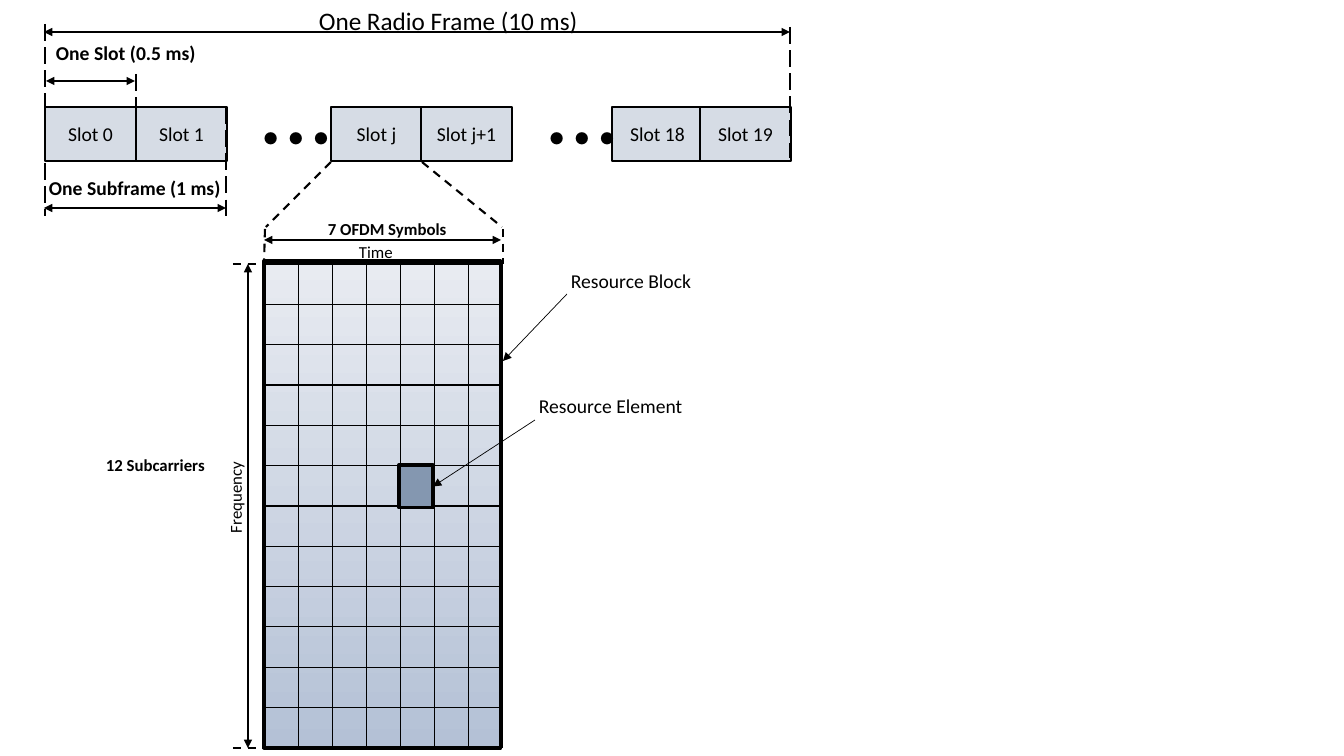
from pptx import Presentation
from pptx.dml.color import RGBColor
from pptx.enum.dml import MSO_LINE
from pptx.enum.shapes import MSO_CONNECTOR, MSO_SHAPE
from pptx.enum.text import MSO_ANCHOR, MSO_AUTO_SIZE, PP_ALIGN
from pptx.oxml import parse_xml
from pptx.oxml.ns import nsdecls
from pptx.util import Pt
from lxml.etree import SubElement

EMU_PER_PX = 914400 / 100.8
BLACK, SLOT_FILL, ELEMENT_FILL = "000000", "D6DCE5", "8497B0"
LONG, DASH = MSO_LINE.LONG_DASH, MSO_LINE.DASH
A = "{http://schemas.openxmlformats.org/drawingml/2006/main}"
color = RGBColor.from_string


def px(*lengths):
    return [round(length * EMU_PER_PX) for length in lengths]


def add_line(x1, y1, x2, y2, width, dash=None, arrows=()):
    line = slide.shapes.add_connector(MSO_CONNECTOR.STRAIGHT, *px(x1, y1, x2, y2))
    line.line.color.rgb = color(BLACK)
    line.line.width = Pt(width)
    if dash:
        line.line.dash_style = dash
    for end in arrows:
        SubElement(line.line._get_or_add_ln(), A + end, type="triangle")
    SubElement(line._element.spPr, A + "effectLst")
    return line


prs = Presentation()
prs.slide_width, prs.slide_height = px(1344, 756)
slide = prs.slides.add_slide(prs.slide_layouts[6])
BOTH, END = ("headEnd", "tailEnd"), ("tailEnd",)

# Resource block background
block = slide.shapes.add_shape(MSO_SHAPE.RECTANGLE, *px(264, 261, 237, 487))
block.shadow.inherit = False
block.fill.gradient()
block.fill.gradient_angle = 90
for stop, shade in zip(block.fill.gradient_stops, ("B4C1D6", "E8EBF1")):
    stop.color.rgb = color(shade)
block.line.color.rgb = color(BLACK)
block.line.width = Pt(2.25)

# Slots of the radio frame
for name, left in (("0", 45), ("1", 136), ("j", 331), ("j+1", 421), ("18", 612), ("19", 700)):
    slot = slide.shapes.add_shape(MSO_SHAPE.RECTANGLE, *px(left, 107, 91, 54))
    slot.shadow.inherit = False
    slot.fill.solid()
    slot.fill.fore_color.rgb = color(SLOT_FILL)
    slot.line.color.rgb = color(BLACK)
    slot.line.width = Pt(1)
    slot.text_frame.vertical_anchor = MSO_ANCHOR.MIDDLE
    paragraph = slot.text_frame.paragraphs[0]
    paragraph.alignment = PP_ALIGN.CENTER
    run = paragraph.add_run()
    run.text = f"Slot {name}"
    run.font.name, run.font.size = "Calibri", Pt(14)
    run.font.color.rgb = color(BLACK)

# Resource grid: 12 subcarriers by 7 symbols
ROWS, COLS = 12, 7
grid = slide.shapes.add_table(ROWS, COLS, *px(265, 264, 237, 484)).table
grid.first_row = grid.horz_banding = False
for cell in grid.iter_cells():
    cell.margin_top = cell.margin_bottom = 0
    borders = cell._tc.get_or_add_tcPr()
    for side in ("lnL", "lnR", "lnT", "lnB"):
        borders.append(parse_xml(
            f'<a:{side} {nsdecls("a")} w="{Pt(1)}"><a:solidFill>'
            f'<a:srgbClr val="{BLACK}"/></a:solidFill></a:{side}>'))
    cell.fill.background()

# Dashed boundaries of frame, slot and subframe
for boundary in ((45, 24, 45, 216), (136, 74, 136, 164),
                 (226, 107, 226, 218), (790, 27, 790, 158)):
    add_line(*boundary, 1.5, LONG)

# Dashed zoom from slot j, and ticks of the grid
for guide in ((331, 162, 266, 227), (422, 162, 502, 227),
              (265, 229, 264, 264), (503, 229, 503, 264),
              (233, 264, 263, 264), (233, 748, 263, 748)):
    add_line(*guide, 1.5, DASH)

# Extents: frame, slot, subframe, symbols, subcarriers
for extent in ((44, 32, 790, 32), (46, 81, 135, 81), (44, 208, 226, 208),
               (264, 240, 501, 240), (248, 748, 248, 264)):
    add_line(*extent, 1, arrows=BOTH)

# Resource element and the two pointers
element = slide.shapes.add_shape(MSO_SHAPE.RECTANGLE, *px(399, 465, 34, 43))
element.shadow.inherit = False
element.fill.solid()
element.fill.fore_color.rgb = color(ELEMENT_FILL)
element.line.color.rgb = color(BLACK)
element.line.width = Pt(2.25)
add_line(567, 294, 503, 361, 0.5, arrows=END)
element_pointer = add_line(535, 420, 433, 487, 0.5, arrows=END)
element_pointer.end_connect(element, 3)

# Labels: text, box, size, bold, font, rotation
CALIBRI, SYMBOLS = "Calibri", "Noto Sans CJK JP"
for text, box, size, bold, font, rotation in (
        ("One Radio Frame (10 ms)", (309, 0, 282, 40), 18, False, CALIBRI, 0),
        ("One Slot (0.5 ms)", (46, 36, 161, 34), 14, True, CALIBRI, 0),
        ("One Subframe (1 ms)", (39, 171, 193, 34), 14, True, CALIBRI, 0),
        ("⋯", (249, 87, 58, 102), 54, True, SYMBOLS, 0),
        ("⋯", (535, 87, 58, 102), 54, True, SYMBOLS, 0),
        ("7 OFDM Symbols", (318, 214, 140, 30), 12, True, CALIBRI, 0),
        ("12 Subcarriers", (96, 450, 120, 30), 12, True, CALIBRI, 0),
        ("Frequency", (188, 481, 94, 30), 12, False, CALIBRI, 270),
        ("Time", (349, 237, 54, 30), 12, False, CALIBRI, 0),
        ("Resource Block", (561, 264, 142, 34), 14, False, CALIBRI, 0),
        ("Resource Element", (529, 389, 165, 34), 14, False, CALIBRI, 0)):
    label = slide.shapes.add_textbox(*px(*box))
    label.rotation = rotation
    label.text_frame.word_wrap = False
    label.text_frame.auto_size = MSO_AUTO_SIZE.SHAPE_TO_FIT_TEXT
    run = label.text_frame.paragraphs[0].add_run()
    run.text = text
    run.font.name, run.font.size, run.font.bold = font, Pt(size), bold
    run.font.color.rgb = color(BLACK)
    if font == SYMBOLS:
        SubElement(run.font._element, A + "ea", typeface=font)

prs.save("out.pptx")
